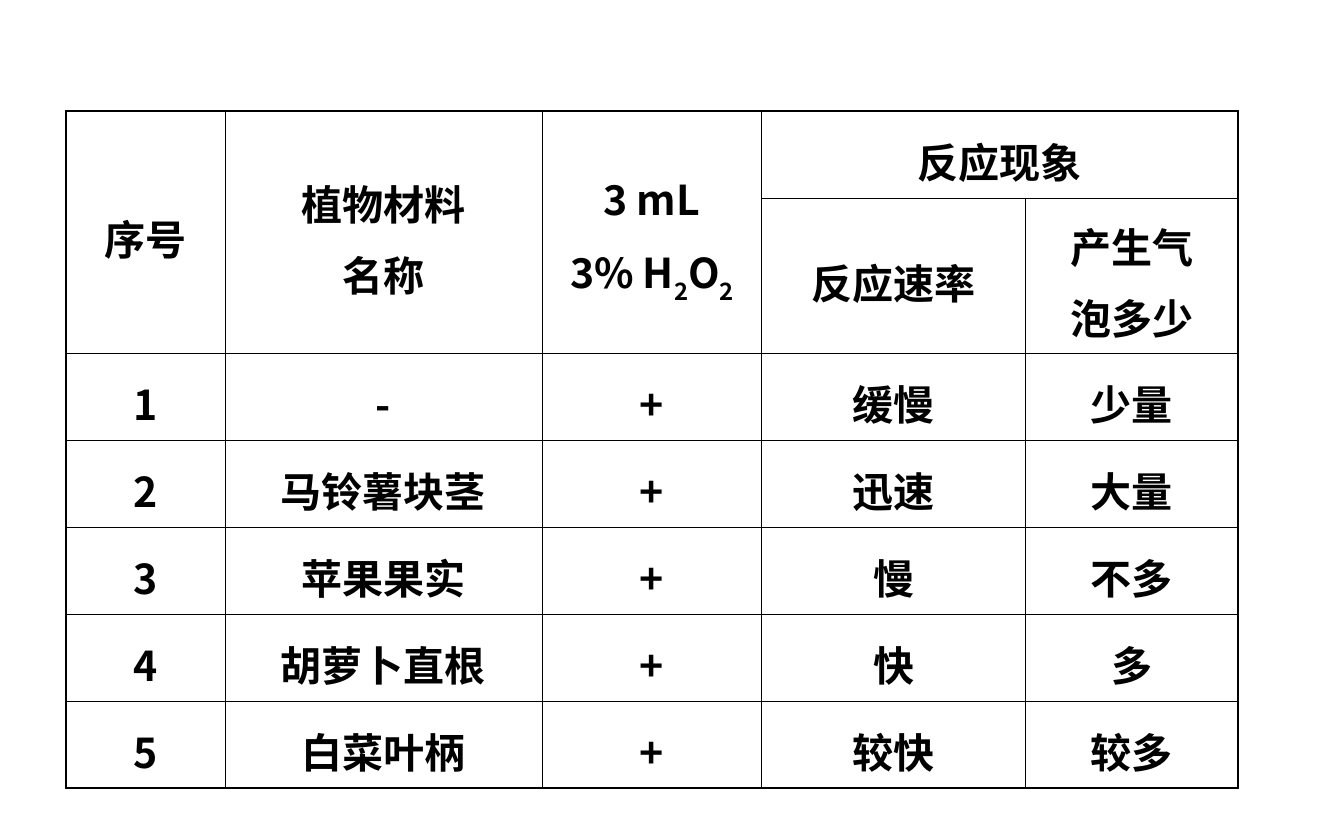
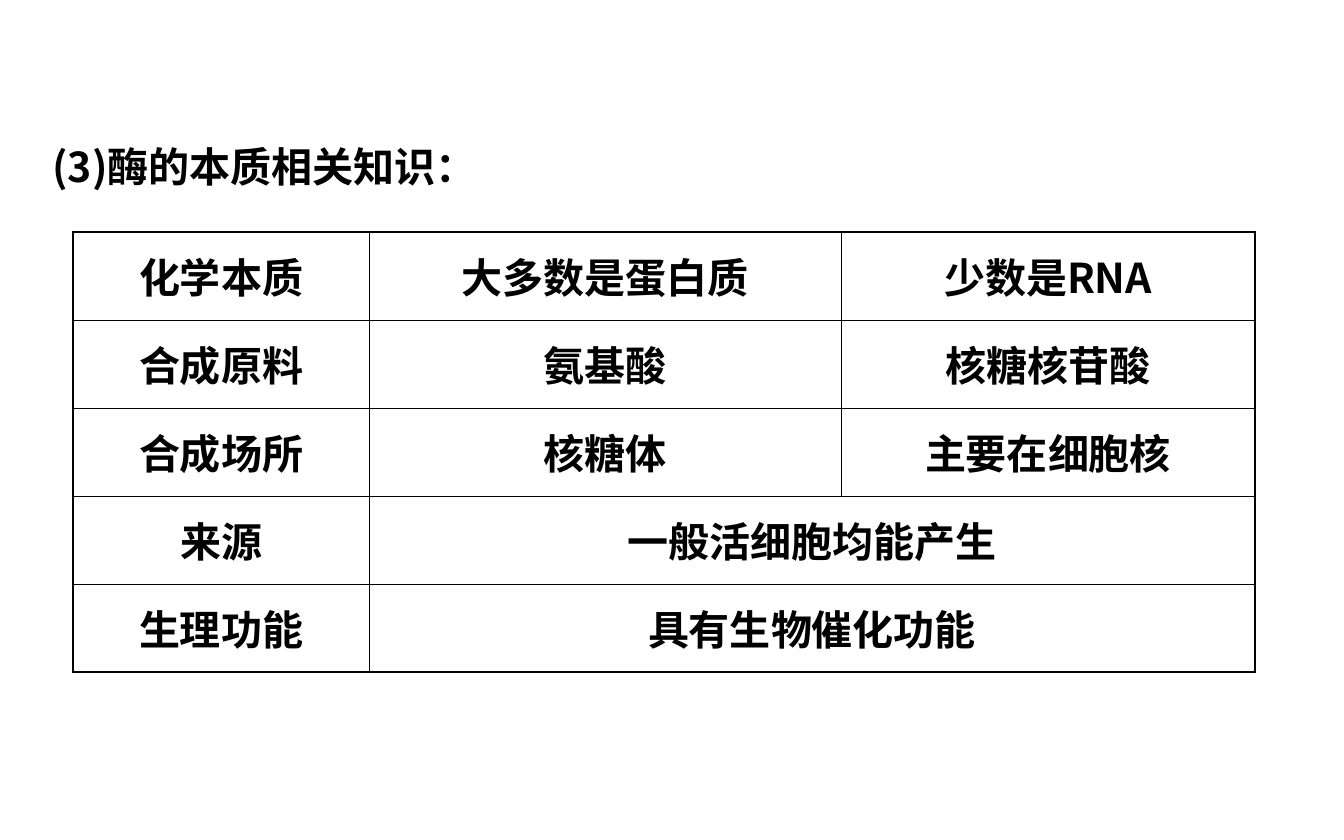
from dataclasses import dataclass

from lxml import etree
from pptx import Presentation
from pptx.dml.color import RGBColor
from pptx.enum.text import MSO_ANCHOR, MSO_AUTO_SIZE, PP_ALIGN
from pptx.oxml.ns import qn
from pptx.slide import Slide
from pptx.table import Table, _Cell
from pptx.text.text import TextFrame, _Paragraph
from pptx.util import Emu, Inches, Pt

LEFT, CENTER = PP_ALIGN.LEFT, PP_ALIGN.CENTER
TOP, MIDDLE = MSO_ANCHOR.TOP, MSO_ANCHOR.MIDDLE
GROW = MSO_AUTO_SIZE.SHAPE_TO_FIT_TEXT

PAGE_WIDTH, PAGE_HEIGHT = 1344, 840
SCALE = Inches(10) / PAGE_WIDTH
TITLE_ONLY, BLANK = 5, 6
SUBSCRIPT_MARK = "~"
TIGHT_MARGIN = 2  # keeps two-line cells within their row


@dataclass(frozen=True)
class Theme:
    font: str = "Noto Sans CJK SC"
    ink: str = "000000"
    text_size: int = 22
    subscript: int = -30000
    inner_line: float = 0.45
    outer_line: float = 0.96


@dataclass(frozen=True)
class Merge:
    row: int
    column: int
    rows: int
    columns: int


@dataclass(frozen=True)
class Grid:
    left: int
    top: int
    widths: list[int]
    heights: list[int]
    cells: list[list[str]]  # an empty string is covered by a merge
    merges: list[Merge]
    line_spacing: float


THEME = Theme()

REACTIONS = Grid(
    left=66,
    top=111,
    widths=[159, 317, 220, 264, 212],
    heights=[87, 148] + [87] * 5,
    cells=[
        ["序号", "植物材料\n名称", "3 mL\n3% H~2~O~2~", "反应现象", ""],
        ["", "", "", "反应速率", "产生气\n泡多少"],
        ["1", "-", "+", "缓慢", "少量"],
        ["2", "马铃薯块茎", "+", "迅速", "大量"],
        ["3", "苹果果实", "+", "慢", "不多"],
        ["4", "胡萝卜直根", "+", "快", "多"],
        ["5", "白菜叶柄", "+", "较快", "较多"],
    ],
    merges=[Merge(0, column, 2, 1) for column in range(3)] + [Merge(0, 3, 1, 2)],
    line_spacing=1.2,
)

ENZYME_TITLE = "(3)酶的本质相关知识："
ENZYMES = Grid(
    left=73,
    top=232,
    widths=[296, 472, 414],
    heights=[88] * 5,
    cells=[
        ["化学本质", "大多数是蛋白质", "少数是RNA"],
        ["合成原料", "氨基酸", "核糖核苷酸"],
        ["合成场所", "核糖体", "主要在细胞核"],
        ["来源", "一般活细胞均能产生", ""],
        ["生理功能", "具有生物催化功能", ""],
    ],
    merges=[Merge(row, 1, 1, 2) for row in (3, 4)],
    line_spacing=1.0,
)


def px(length: int) -> Emu:
    return Emu(round(length * SCALE))


# Text

def write_spans(para: _Paragraph, text: str) -> None:
    """Write one line; text between two marks becomes a subscript."""
    for index, part in enumerate(text.split(SUBSCRIPT_MARK)):
        if not part:
            continue
        span = para.add_run()
        span.text = part
        font = span.font
        font.name, font.size, font.bold = THEME.font, Pt(THEME.text_size), True
        font.color.rgb = RGBColor.from_string(THEME.ink)
        properties = span._r.get_or_add_rPr()
        east_asian = etree.Element(qn("a:ea"), typeface=THEME.font)
        properties.find(qn("a:latin")).addnext(east_asian)
        if index % 2:
            properties.set("baseline", str(THEME.subscript))


def write_text(frame: TextFrame, text: str, align: PP_ALIGN, spacing: float) -> None:
    for index, line in enumerate(text.split("\n")):
        para = frame.add_paragraph() if index else frame.paragraphs[0]
        para.alignment = align
        para.line_spacing = spacing
        write_spans(para, line)


def add_title(page: Slide, text: str) -> None:
    box = page.shapes.title
    box.left, box.top, box.width, box.height = px(39), px(110), px(1267), px(87)
    frame = box.text_frame
    frame.word_wrap = True
    frame.auto_size = GROW
    frame.vertical_anchor = TOP
    write_text(frame, text, LEFT, 1.5)


# Tables

def draw_borders(cell: _Cell, outer: dict[str, bool]) -> None:
    properties = cell._tc.get_or_add_tcPr()
    for side, is_outer in outer.items():
        weight = THEME.outer_line if is_outer else THEME.inner_line
        line = etree.SubElement(properties, qn(f"a:{side}"), w=str(Pt(weight)))
        fill = etree.SubElement(line, qn("a:solidFill"))
        etree.SubElement(fill, qn("a:srgbClr"), val=THEME.ink)


def fill_cells(table: Table, grid: Grid) -> None:
    for row, texts in enumerate(grid.cells):
        for column, text in enumerate(texts):
            cell = table.cell(row, column)
            if cell.is_spanned:
                continue
            height = cell.span_height if cell.is_merge_origin else 1
            width = cell.span_width if cell.is_merge_origin else 1
            draw_borders(cell, {
                "lnL": column == 0,
                "lnR": column + width == len(grid.widths),
                "lnT": row == 0,
                "lnB": row + height == len(grid.heights),
            })
            cell.fill.background()
            cell.vertical_anchor = MIDDLE
            if "\n" in text:
                cell.margin_top = cell.margin_bottom = px(TIGHT_MARGIN)
            write_text(cell.text_frame, text, CENTER, grid.line_spacing)


def add_grid(page: Slide, grid: Grid) -> None:
    table = page.shapes.add_table(
        len(grid.heights), len(grid.widths), px(grid.left), px(grid.top),
        px(sum(grid.widths)), px(sum(grid.heights)),
    ).table
    table.first_row = table.horz_banding = False
    for column, width in zip(table.columns, grid.widths):
        column.width = px(width)
    for row, height in zip(table.rows, grid.heights):
        row.height = px(height)
    for merge in grid.merges:
        last = table.cell(merge.row + merge.rows - 1, merge.column + merge.columns - 1)
        table.cell(merge.row, merge.column).merge(last)
    fill_cells(table, grid)


def main() -> None:
    deck = Presentation()
    deck.slide_width, deck.slide_height = px(PAGE_WIDTH), px(PAGE_HEIGHT)

    # Reaction observations
    page = deck.slides.add_slide(deck.slide_layouts[BLANK])
    add_grid(page, REACTIONS)

    # Nature of enzymes
    page = deck.slides.add_slide(deck.slide_layouts[TITLE_ONLY])
    add_title(page, ENZYME_TITLE)
    add_grid(page, ENZYMES)

    deck.save("out.pptx")


if __name__ == "__main__":
    main()
